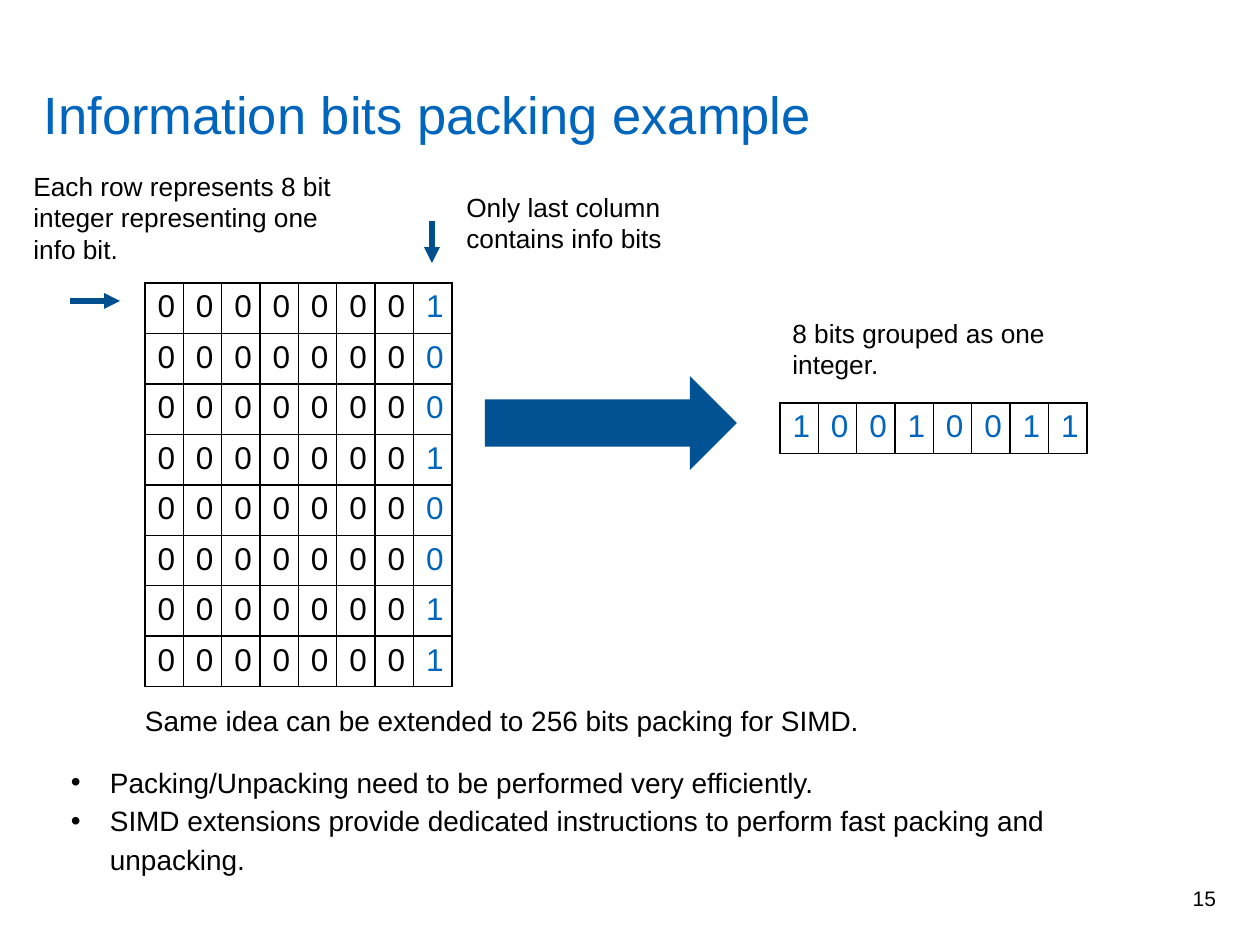
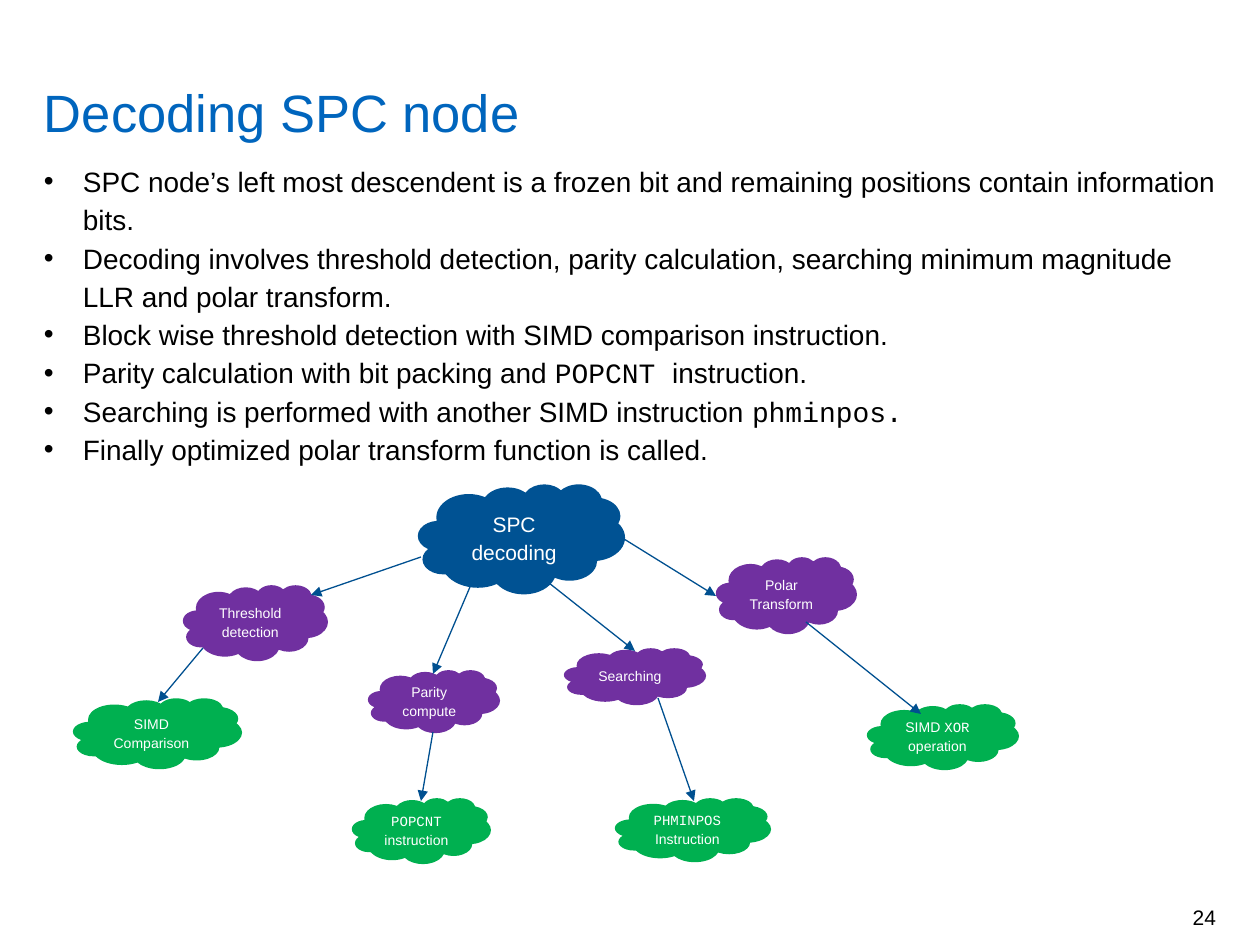
import pptx
import pptx.util
import pptx.dml.color
import pptx.enum.shapes
import pptx.enum.text
import pptx.oxml.ns
from dataclasses import dataclass
from lxml import etree

PX = 914400 / 126  # EMU per px
SLIDE_W, SLIDE_H = 1260, 945


@dataclass(frozen=True)
class Theme:
    font: str = "Arial"
    code_font: str = "Courier New"
    ink: str = "000000"
    white: str = "FFFFFF"
    title: str = "0065BD"
    block: str = "005293"
    line: str = "005090"
    step: str = "7030A0"
    instruction: str = "00B050"
    title_size: int = 30
    bit_size: int = 18
    body_size: int = 16
    note_size: int = 15
    root_size: int = 12
    page_size: int = 12
    cloud_size: int = 8
    spacing: float = 1.14


T = Theme()
ALIGN = pptx.enum.text.PP_ALIGN
ANCHOR = pptx.enum.text.MSO_ANCHOR
SHAPE = pptx.enum.shapes.MSO_SHAPE

# Content; words between backticks are set in the code font

PACKING = {
    "title": ("Information bits packing example", 89),
    "page": ("15", 873),
    "bits": "10010011",
    "notes": [
        ("Each row represents 8 bit integer representing one info bit.", (21, 164, 347, 108)),
        ("Only last column contains info bits", (454, 185, 315, 77)),
        ("8 bits grouped as one integer.", (780, 311, 290, 77)),
    ],
    "pointers": [(432, 221, 432, 263), (70, 301, 120, 301)],
    "summary": "Same idea can be extended to 256 bits packing for SIMD.",
    "bullets": [
        "Packing/Unpacking need to be performed very efficiently.",
        "SIMD extensions provide dedicated instructions to perform fast packing and unpacking.",
    ],
}

DECODING = {
    "title": ("Decoding SPC node", 87),
    "page": ("24", 892),
    "bullets": [
        "SPC node’s left most descendent is a frozen bit and remaining positions contain information bits.",
        "Decoding involves threshold detection, parity calculation, searching minimum magnitude LLR "
        "and polar transform.",
        "Block wise threshold detection with SIMD comparison instruction.",
        "Parity calculation with bit packing and `POPCNT `instruction.",
        "Searching is performed with another SIMD instruction `phminpos.`",
        "Finally optimized polar transform function is called.",
    ],
    "clouds": [
        (["SPC decoding"], (418, 484, 207, 110), T.block, T.root_size),
        (["Threshold detection"], (183, 585, 145, 76), T.step, T.cloud_size),
        (["`PHMINPOS`", "Instruction"], (615, 798, 156, 64), T.instruction, T.cloud_size),
        (["SIMD Comparison"], (73, 698, 169, 71), T.instruction, T.cloud_size),
        (["`POPCNT` instruction"], (352, 798, 139, 66), T.instruction, T.cloud_size),
        (["Polar", "Transform"], (716, 557, 141, 77), T.step, T.cloud_size),
        (["Searching"], (564, 648, 142, 57), T.step, T.cloud_size),
        (["Parity", "compute"], (368, 670, 132, 63), T.step, T.cloud_size),
        (["SIMD `XOR` operation"], (867, 704, 152, 66), T.instruction, T.cloud_size),
    ],
    "links": [
        (421, 557, 311, 595), (203, 648, 158, 702),
        (470, 587, 433, 674), (433, 732, 421, 801),
        (549, 583, 635, 651), (658, 698, 694, 801),
        (624, 539, 716, 596), (806, 622, 921, 714),
    ],
}


# Helpers

def emu(*lengths):
    return [pptx.util.Emu(round(v * PX)) for v in lengths]


def rgb(color):
    return pptx.dml.color.RGBColor.from_string(color)


def add_xml(parent, tag, **attrs):
    return etree.SubElement(parent, pptx.oxml.ns.qn(tag), attrs)


def write(tf, lines, size, color=T.ink, align=ALIGN.LEFT, spacing=None, bullet=False):
    tf.word_wrap = True
    for i, line in enumerate(lines):
        p = tf.paragraphs[0] if i == 0 else tf.add_paragraph()
        p.alignment = align
        if spacing:
            p.line_spacing = spacing
        if bullet:
            pPr = p._p.get_or_add_pPr()
            indent = emu(39)[0]
            pPr.set("marL", str(indent))
            pPr.set("indent", str(-indent))
            add_xml(pPr, "a:buFont", typeface=T.font)
            add_xml(pPr, "a:buChar", char="•")
        for j, part in enumerate(line.split("`")):
            if part:
                r = p.add_run()
                r.text = part
                r.font.size = pptx.util.Pt(size)
                r.font.name = T.code_font if j % 2 else T.font
                r.font.color.rgb = rgb(color)


def add_text(s, lines, box, size, inset=None, anchor=ANCHOR.TOP, **style):
    tf = s.shapes.add_textbox(*emu(*box)).text_frame
    if inset is not None:
        tf.margin_left = tf.margin_right = emu(inset[0])[0]
        tf.margin_top = tf.margin_bottom = emu(inset[1])[0]
    tf.vertical_anchor = anchor
    write(tf, lines, size, **style)


def add_bullets(s, lines, box):
    add_text(s, lines, box, T.body_size, (0, 0), spacing=T.spacing, bullet=True)


def add_block(s, kind, box, color):
    sp = s.shapes.add_shape(kind, *emu(*box))
    sp.shadow.inherit = False
    sp.fill.solid()
    sp.fill.fore_color.rgb = rgb(color)
    sp.line.fill.background()
    return sp


def add_arrow(s, ends, width):
    c = s.shapes.add_connector(pptx.enum.shapes.MSO_CONNECTOR.STRAIGHT, *emu(*ends))
    c.line.color.rgb = rgb(T.line)
    c.line.width = pptx.util.Pt(width)
    add_xml(c.line._get_or_add_ln(), "a:tailEnd", type="triangle")
    add_xml(c._element.spPr, "a:effectLst")


def border(cell):
    tcPr = cell._tc.get_or_add_tcPr()
    for i, side in enumerate(("a:lnL", "a:lnR", "a:lnT", "a:lnB")):
        ln = add_xml(tcPr, side, w=str(pptx.util.Pt(1)))
        add_xml(add_xml(ln, "a:solidFill"), "a:srgbClr", val=T.ink)
        tcPr.insert(i, ln)


def add_bit_table(s, rows, box, first_info_column):
    n = len(rows[0])
    tbl = s.shapes.add_table(len(rows), n, *emu(*box)).table
    tbl.first_row = tbl.horz_banding = False
    for col in tbl.columns:
        col.width = emu(box[2] / n)[0]
    for row in tbl.rows:
        row.height = emu(box[3] / len(rows))[0]
    for i, bits in enumerate(rows):
        for j, bit in enumerate(bits):
            cell = tbl.cell(i, j)
            cell.fill.background()
            border(cell)
            color = T.title if j >= first_info_column else T.ink
            write(cell.text_frame, [bit], T.bit_size, color)


def new_slide(prs, content):
    s = prs.slides.add_slide(prs.slide_layouts[6])
    page, page_top = content["page"]
    add_text(s, [page], (934, page_top, 282, 50), T.page_size, (0, 6),
             ANCHOR.MIDDLE, align=ALIGN.RIGHT)
    title, title_top = content["title"]
    add_text(s, [title], (44, title_top, 1173, 57), T.title_size, (0, 0),
             color=T.title, spacing=pptx.util.Pt(32))
    return s


# Slides

def build_packing(prs):
    s = new_slide(prs, PACKING)
    bits = PACKING["bits"]
    add_bit_table(s, [bit.rjust(8, "0") for bit in bits], (145, 283, 307, 383), 7)
    add_block(s, SHAPE.RIGHT_ARROW, (485, 376, 252, 94), T.block)
    add_bit_table(s, [bits], (780, 403, 307, 50), 0)
    for note, box in PACKING["notes"]:
        add_text(s, [note], box, T.note_size)
    for ends in PACKING["pointers"]:
        add_arrow(s, ends, 3)
    add_text(s, [PACKING["summary"]], (145, 699, 1019, 35), T.body_size, (0, 0),
             spacing=T.spacing)
    add_bullets(s, PACKING["bullets"], (71, 761, 1110, 116))


def build_decoding(prs):
    s = new_slide(prs, DECODING)
    add_bullets(s, DECODING["bullets"], (44, 160, 1173, 732))
    for lines, box, color, size in DECODING["clouds"]:
        sp = add_block(s, SHAPE.CLOUD, box, color)
        sp.text_frame.vertical_anchor = ANCHOR.MIDDLE
        write(sp.text_frame, lines, size, T.white, ALIGN.CENTER, T.spacing)
    for ends in DECODING["links"]:
        add_arrow(s, ends, 0.75)


def main():
    prs = pptx.Presentation()
    prs.slide_width, prs.slide_height = emu(SLIDE_W, SLIDE_H)
    build_packing(prs)
    build_decoding(prs)
    prs.save("out.pptx")


if __name__ == "__main__":
    main()
